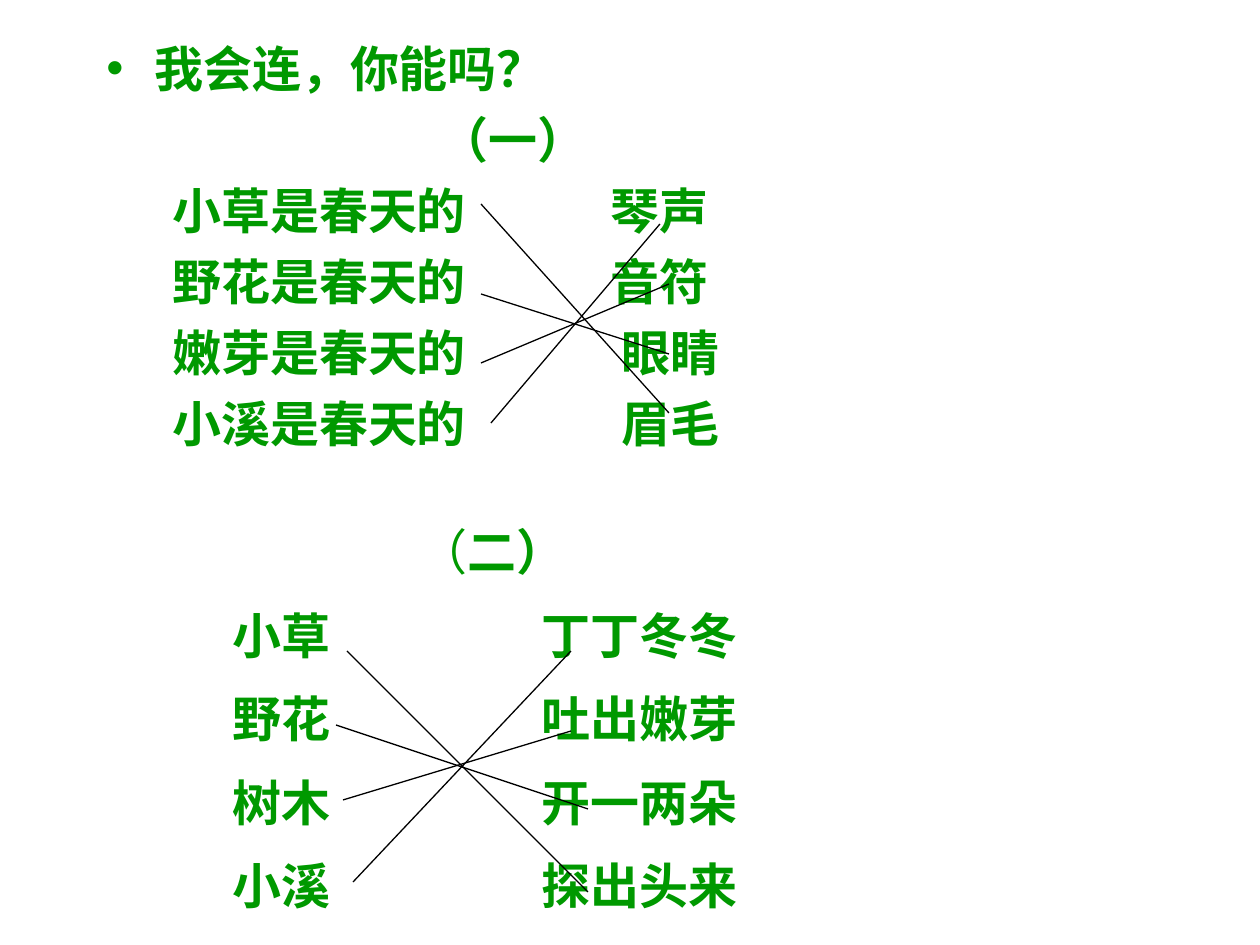
from lxml import etree
from pptx import Presentation, util as u
from pptx.dml.color import RGBColor
from pptx.enum import shapes, text
from pptx.oxml.ns import qn

PX = 914400 / 126
GREEN, BLACK = "009900", "000000"

# Content: heading, then left and right words of each row
title = "我会连，你能吗？"
one = [("小草是春天的", "琴声"), ("野花是春天的", "音符"),
       ("嫩芽是春天的", "眼睛"), ("小溪是春天的", "眉毛")]
two = [("小草", "丁丁冬冬"), ("野花", "吐出嫩芽"),
       ("树木", "开一两朵"), ("小溪", "探出头来")]

# Matching lines: x1, y1, x2, y2
links = [(481, 204, 669, 413), (491, 423, 660, 224),
         (481, 294, 669, 354), (481, 363, 669, 284),
         (347, 651, 588, 892), (336, 725, 588, 809),
         (343, 800, 571, 731), (353, 882, 571, 651)]


def px(n):
    return u.Emu(round(n * PX))


def color(code):
    return RGBColor.from_string(code)


def add_box(x, y, w, h):
    frame = slide.shapes.add_textbox(px(x), px(y), px(w), px(h)).text_frame
    frame.word_wrap = True
    frame.vertical_anchor = text.MSO_ANCHOR.TOP
    return frame


def add_text(frame, words, tabs=(), bullet=None, gap=0, line=None, thin=""):
    """Add a paragraph; thin is a leading part that is not bold."""
    first = not frame.paragraphs[0].runs
    par = frame.paragraphs[0] if first else frame.add_paragraph()
    props = par._p.get_or_add_pPr()
    if bullet:
        props.set("marL", str(px(48)))
        props.set("indent", str(-px(48)))
        tint = etree.SubElement(props, qn("a:buClr"))
        etree.SubElement(tint, qn("a:srgbClr"), val=GREEN)
        etree.SubElement(props, qn("a:buFont"), typeface="Arial")
        etree.SubElement(props, qn("a:buChar"), char=bullet)
    if tabs:
        stops = etree.SubElement(props, qn("a:tabLst"))
        for stop in tabs:
            etree.SubElement(stops, qn("a:tab"), pos=str(px(stop)), algn="l")
    par.space_before = u.Pt(0 if first else gap)
    if line:
        par.line_spacing = line
    for part, bold in ((thin, False), (words, True)):
        if part:
            run = par.add_run()
            run.text = part
            font = run.font
            font.name, font.size, font.bold = "Arial", u.Pt(28), bold
            font.color.rgb = color(GREEN)


deck = Presentation()
deck.slide_width, deck.slide_height = px(1260), px(945)
slide = deck.slides.add_slide(deck.slide_layouts[6])

# First exercise, with the title
box = add_box(94, 32, 1071, 441)
add_text(box, title, bullet="•")
add_text(box, "\t（一）", tabs=[333], gap=7)
for i, (left, right) in enumerate(one):
    add_text(box, f"\t{left}\t{right}", tabs=[66, 504 if i < 2 else 515], gap=7)

# Second exercise
box = add_box(154, 522, 892, 399)
add_text(box, "二）", thin="\t（", tabs=[252], line=0.9)
for left, right in two:
    add_text(box, f"\t{left}\t{right}", tabs=[66, 375], gap=17.5, line=0.9)

# Matching lines
for ends in links:
    link = slide.shapes.add_connector(shapes.MSO_CONNECTOR.STRAIGHT,
                                      *(px(n) for n in ends))
    link.line.color.rgb = color(BLACK)
    link.line.width = u.Pt(0.75)
    etree.SubElement(link._element.spPr, qn("a:effectLst"))

deck.save("out.pptx")
